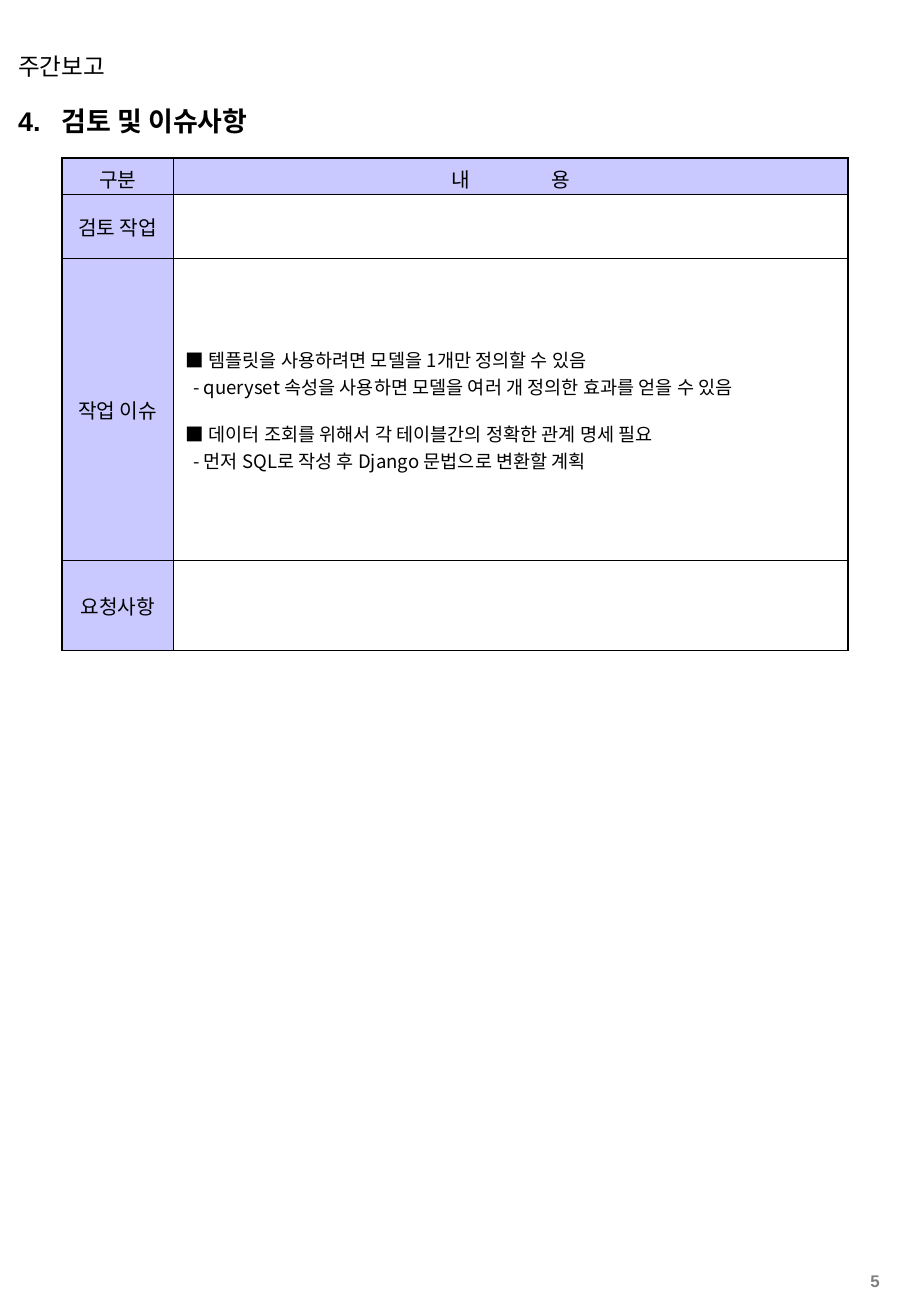
from dataclasses import dataclass

from lxml.etree import SubElement
from pptx import Presentation
from pptx.dml.color import RGBColor
from pptx.enum.text import MSO_ANCHOR, MSO_AUTO_SIZE, PP_ALIGN
from pptx.oxml import parse_xml
from pptx.oxml.ns import nsdecls, qn
from pptx.util import Inches, Pt

COLUMNS, ROWS = 750, 1084
PAGE_WIDTH, PAGE_HEIGHT = Inches(7.5), Inches(10.84)


@dataclass(frozen=True)
class Theme:
    ink: str = "000000"
    muted: str = "808080"
    label_fill: str = "C9C9FF"
    latin: str = "Arial"
    korean: str = "Noto Sans CJK KR"
    number_size: float = 10
    body_size: float = 11
    label_size: float = 12
    header_size: float = 14
    title_size: float = 16
    thin: float = 0.45
    thick: float = 1.08


@dataclass(frozen=True)
class Box:
    column: int
    row: int
    columns: int
    rows: int

    def frame(self):
        across, down = PAGE_WIDTH // COLUMNS, PAGE_HEIGHT // ROWS
        return (self.column * across, self.row * down,
                self.columns * across, self.rows * down)


THEME = Theme()
ISSUES = [
    ("■ 템플릿을 사용하려면 모델을 1개만 정의할 수 있음",
     "- queryset 속성을 사용하면 모델을 여러 개 정의한 효과를 얻을 수 있음"),
    ("■ 데이터 조회를 위해서 각 테이블간의 정확한 관계 명세 필요",
     "- 먼저 SQL로 작성 후 Django 문법으로 변환할 계획"),
]
LABELS = ["구분", "검토 작업", "작업 이슈", "요청사항"]
COLUMN_SHARES = (92, 555)
ROW_SHARES = (30, 53, 249, 74)


def add_span(para, text, size, color=THEME.ink, bold=False, latin=THEME.latin):
    span = para.add_run()
    span.text = text
    font = span.font
    font.size, font.bold, font.name = Pt(size), bold, latin
    font.color.rgb = RGBColor.from_string(color)
    SubElement(span._r.get_or_add_rPr(), qn("a:ea"), typeface=THEME.korean)
    return span


def add_line(page, box, text, size, align=PP_ALIGN.LEFT, color=THEME.ink, bold=False):
    frame = page.shapes.add_textbox(*box.frame()).text_frame
    frame.word_wrap = True
    para = frame.paragraphs[0]
    para.alignment = align
    add_span(para, text, size, color, bold)


def add_title(page, box):
    title = page.shapes.title
    title.left, title.top, title.width, title.height = box.frame()
    frame = title.text_frame
    frame.word_wrap = True
    frame.auto_size = MSO_AUTO_SIZE.NONE
    frame.vertical_anchor = MSO_ANCHOR.TOP
    para = frame.paragraphs[0]
    para.alignment = PP_ALIGN.LEFT
    stops = SubElement(para._p.get_or_add_pPr(), qn("a:tabLst"))
    SubElement(stops, qn("a:tab"), pos=str(Inches(0.36)), algn="l")
    for text in ("4.", "\t", "검토 및 이슈사항"):
        add_span(para, text, THEME.title_size, bold=True)


def set_borders(cell, outer_sides):
    properties = cell._tc.get_or_add_tcPr()
    for index, side in enumerate("LRTB"):
        width = Pt(THEME.thick if side in outer_sides else THEME.thin)
        properties.insert(index, parse_xml(
            f'<a:ln{side} {nsdecls("a")} w="{width}"><a:solidFill>'
            f'<a:srgbClr val="{THEME.ink}"/></a:solidFill></a:ln{side}>'))


def style_cell(cell, row, column):
    cell.vertical_anchor = MSO_ANCHOR.MIDDLE
    if row == 0 or column == 0:
        cell.fill.solid()
        cell.fill.fore_color.rgb = RGBColor.from_string(THEME.label_fill)
        cell.text_frame.paragraphs[0].alignment = PP_ALIGN.CENTER
    else:
        cell.fill.background()
    if row == 0:
        cell.margin_bottom = 0
    vertical = {0: "T", len(ROW_SHARES) - 1: "B"}.get(row, "")
    set_borders(cell, "LR"[column] + vertical)


def fill_issues(frame):
    para = frame.paragraphs[0]
    for number, (point, detail) in enumerate(ISSUES):
        if number:
            para = frame.add_paragraph()
            para.space_before = Pt(12)
        add_span(para, point, THEME.body_size, latin=THEME.korean)
        para = frame.add_paragraph()
        para._p.get_or_add_pPr().set("marL", str(Inches(0.06)))
        add_span(para, detail, THEME.body_size, latin=THEME.korean)


def add_issue_table(page, box):
    left, top, width, height = box.frame()
    table = page.shapes.add_table(
        len(ROW_SHARES), len(COLUMN_SHARES), left, top, width, height).table
    table.first_row = table.horz_banding = False
    for column, share in zip(table.columns, COLUMN_SHARES):
        column.width = width * share // sum(COLUMN_SHARES)
    for row, share in zip(table.rows, ROW_SHARES):
        row.height = height * share // sum(ROW_SHARES)
    for row, label in enumerate(LABELS):
        for column in range(len(COLUMN_SHARES)):
            style_cell(table.cell(row, column), row, column)
        add_span(table.cell(row, 0).text_frame.paragraphs[0], label, THEME.label_size)
    heading = table.cell(0, 1).text_frame.paragraphs[0]
    add_span(heading, "내", THEME.label_size)
    gap = add_span(heading, " ", THEME.label_size)
    gap._r.get_or_add_rPr().set("spc", "4600")
    add_span(heading, "용", THEME.label_size)
    fill_issues(table.cell(2, 1).text_frame)


def main():
    deck = Presentation()
    deck.slide_width, deck.slide_height = PAGE_WIDTH, PAGE_HEIGHT
    page = deck.slides.add_slide(deck.slide_layouts.get_by_name("Title Only"))
    add_line(page, Box(678, 1042, 56, 24), "5", THEME.number_size,
             PP_ALIGN.RIGHT, THEME.muted, True)
    add_line(page, Box(5, 38, 595, 34), "주간보고", THEME.header_size)
    add_issue_table(page, Box(51, 130, sum(COLUMN_SHARES), sum(ROW_SHARES)))
    add_title(page, Box(5, 81, 536, 37))
    deck.save("out.pptx")


if __name__ == "__main__":
    main()
